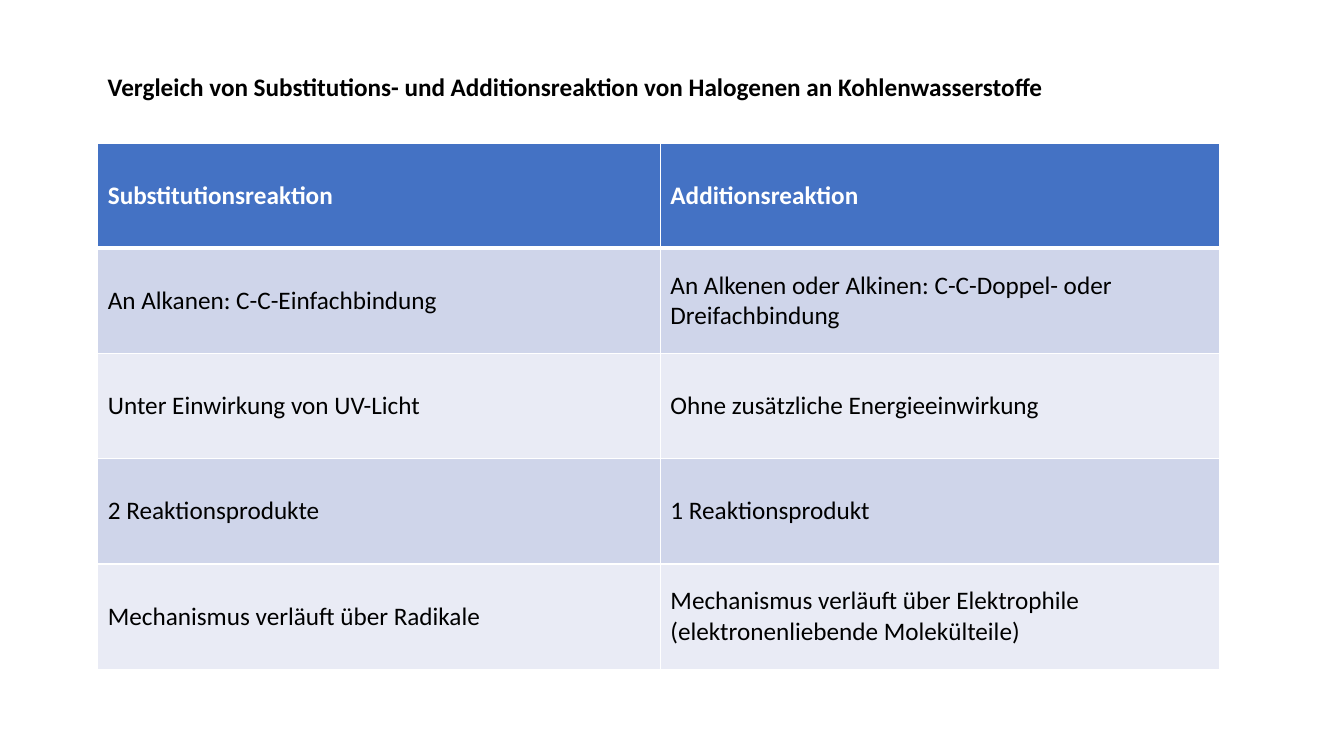
import dataclasses
import lxml.etree
import pptx
import pptx.dml.color
import pptx.enum.text
import pptx.oxml.ns
import pptx.util

Inches = pptx.util.Inches


@dataclasses.dataclass(frozen=True)
class Theme:
    """Colours, font and sizes of the slide."""
    font: str = "Calibri"
    size: int = 18
    dark: str = "000000"
    light: str = "FFFFFF"
    head: str = "4472C4"
    bands: tuple = ("CFD5EA", "E9EBF5")
    thin: int = 1
    thick: int = 3


THEME = Theme()
TITLE = "Vergleich von Substitutions- und Additionsreaktion von Halogenen an Kohlenwasserstoffe"
ROWS = [
    ("Substitutionsreaktion", "Additionsreaktion"),
    ("An Alkanen: C-C-Einfachbindung",
     "An Alkenen oder Alkinen: C-C-Doppel- oder Dreifachbindung"),
    ("Unter Einwirkung von UV-Licht", "Ohne zusätzliche Energieeinwirkung"),
    ("2 Reaktionsprodukte", "1 Reaktionsprodukt"),
    ("Mechanismus verläuft über Radikale",
     "Mechanismus verläuft über Elektrophile (elektronenliebende Molekülteile)"),
]


def rgb(code):
    """Turn a hex code into a colour."""
    return pptx.dml.color.RGBColor.from_string(code)


def write(frame, text, color=THEME.dark, bold=False):
    """Put formatted text into a text frame."""
    frame.word_wrap = True
    run = frame.paragraphs[0].add_run()
    run.text = text
    font = run.font
    font.name, font.size, font.bold = THEME.font, pptx.util.Pt(THEME.size), bold
    font.color.rgb = rgb(color)


def add_title(slide, text):
    """Add the bold heading above the table."""
    box = slide.shapes.add_textbox(Inches(0.97), Inches(0.66), Inches(10.3), Inches(0.4))
    write(box.text_frame, text, bold=True)
    box.text_frame.auto_size = pptx.enum.text.MSO_AUTO_SIZE.SHAPE_TO_FIT_TEXT


def set_edge(cell, top, base):
    """Draw white borders around a cell, with top and base widths in points."""
    qn = pptx.oxml.ns.qn
    props = cell._tc.get_or_add_tcPr()
    widths = {"L": THEME.thin, "R": THEME.thin, "T": top, "B": base}
    for spot, (side, width) in enumerate(widths.items()):
        line = lxml.etree.Element(qn(f"a:ln{side}"), w=str(pptx.util.Pt(width)))
        fill = lxml.etree.SubElement(line, qn("a:solidFill"))
        lxml.etree.SubElement(fill, qn("a:srgbClr"), val=THEME.light)
        props.insert(spot, line)


def fill_cell(cell, text, row):
    """Fill a cell by the rule of its row: header first, then bands."""
    head = row == 0
    write(cell.text_frame, text, color=THEME.light if head else THEME.dark, bold=head)
    cell.vertical_anchor = pptx.enum.text.MSO_ANCHOR.MIDDLE
    cell.fill.solid()
    cell.fill.fore_color.rgb = rgb(THEME.head if head else THEME.bands[(row - 1) % 2])
    set_edge(cell, top=THEME.thick if row == 1 else THEME.thin,
             base=THEME.thick if head else THEME.thin)


def add_grid(slide, rows):
    """Add the table that compares the two reactions."""
    grid = slide.shapes.add_table(len(rows), len(rows[0]), Inches(0.97), Inches(1.42),
                                  Inches(11.13), Inches(5.22)).table
    for col, width in zip(grid.columns, (5.58, 5.55)):
        col.width = Inches(width)
    for row, texts in enumerate(rows):
        for col, text in enumerate(texts):
            fill_cell(grid.cell(row, col), text, row)


def main():
    """Build and save the slide."""
    deck = pptx.Presentation()
    deck.slide_width, deck.slide_height = Inches(13.33), Inches(7.5)
    slide = deck.slides.add_slide(deck.slide_layouts[6])
    add_grid(slide, ROWS)
    add_title(slide, TITLE)
    deck.save("out.pptx")


main()
